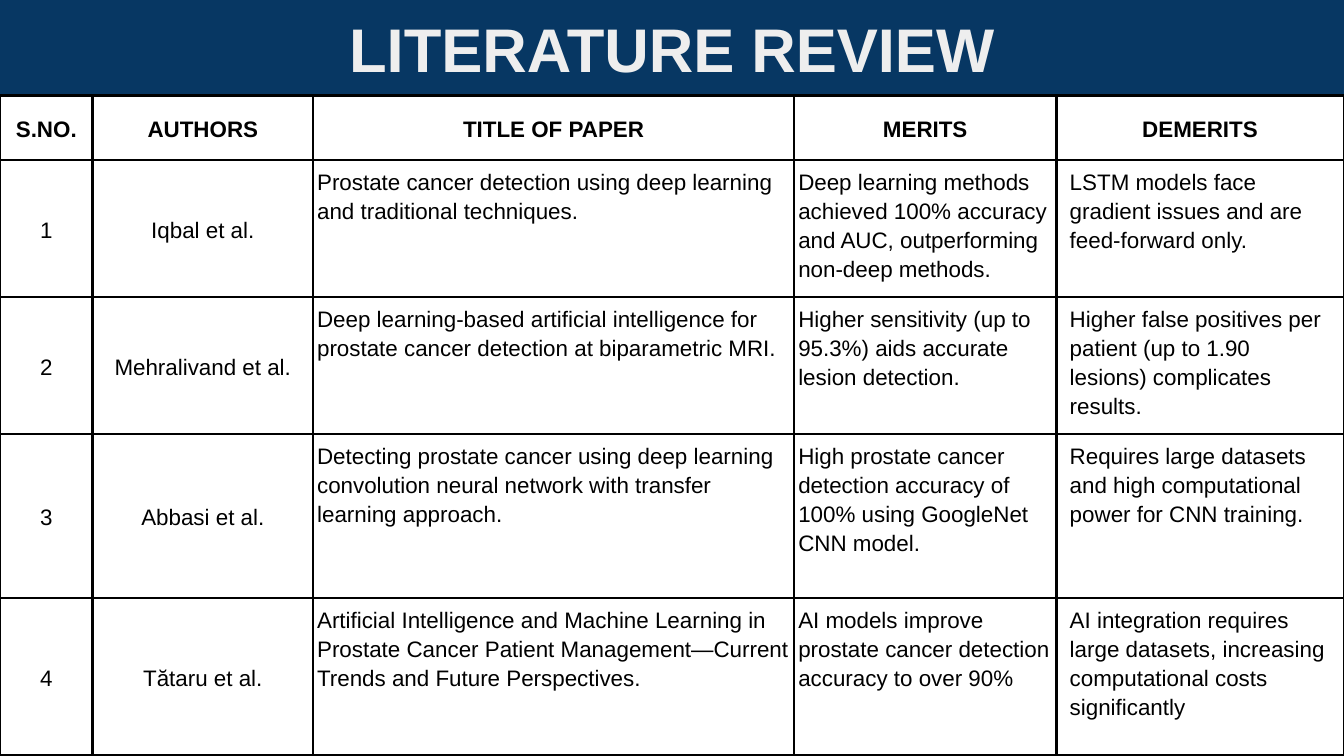
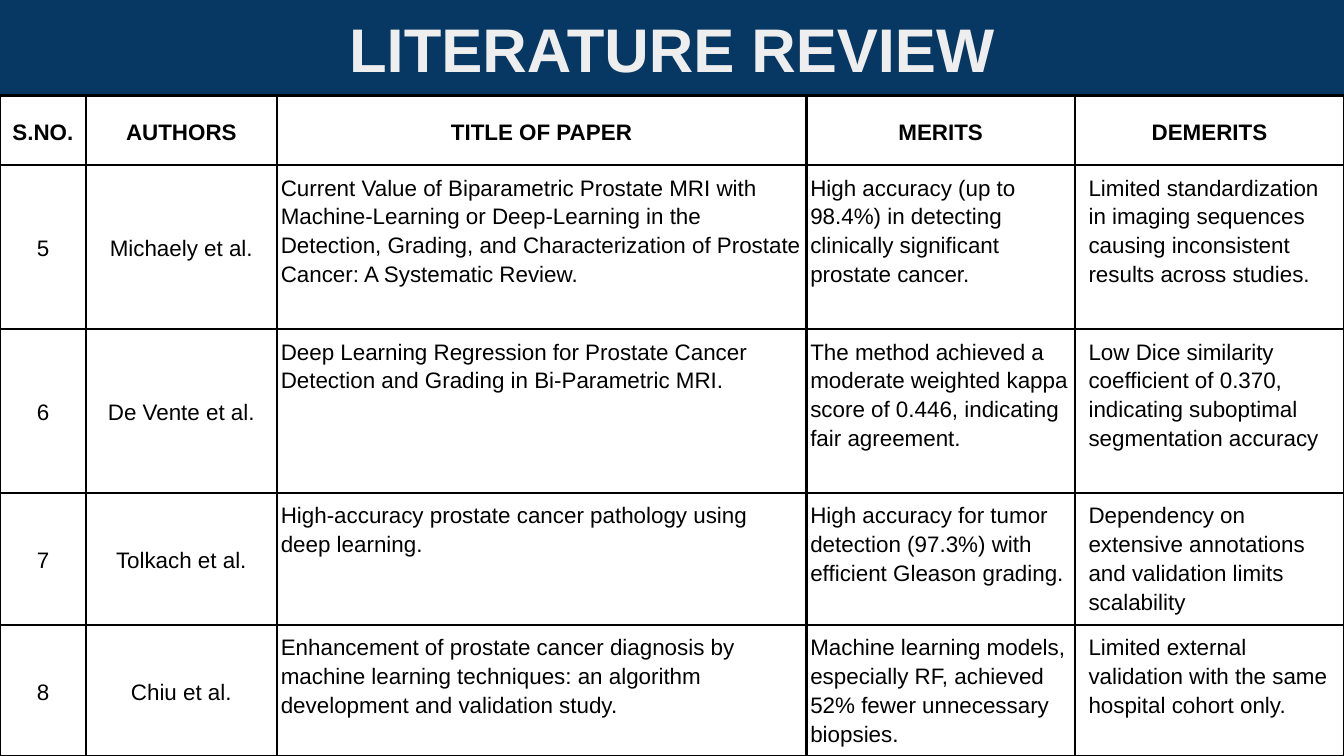
from lxml import etree
from pptx import Presentation
from pptx.dml.color import RGBColor
from pptx.enum.text import MSO_ANCHOR, MSO_AUTO_SIZE, PP_ALIGN
from pptx.oxml.ns import qn
from pptx.util import Inches, Pt

NAVY = RGBColor(0x07, 0x37, 0x63)
PALE_GREY = RGBColor(0xEE, 0xEE, 0xEE)
BLACK = RGBColor(0x00, 0x00, 0x00)

CENTER, LEFT = PP_ALIGN.CENTER, PP_ALIGN.LEFT
MIDDLE, TOP = MSO_ANCHOR.MIDDLE, MSO_ANCHOR.TOP
NO_FIT = MSO_AUTO_SIZE.NONE

FONT = "Arial"
SLIDE_WIDTH = 10
SLIDE_HEIGHT = SLIDE_WIDTH * 9 / 16  # widescreen
BAND_HEIGHT = 0.71
BORDER_WIDTH = Pt(1.47)
TITLE_ONLY_LAYOUT = 5

TITLE = "LITERATURE REVIEW"
HEADERS = ("S.NO.", "AUTHORS", "TITLE OF PAPER", "MERITS", "DEMERITS")
CENTERED_COLUMNS = 2  # number and authors
DEMERITS_COLUMN = 4

# Column widths, row heights and papers of each slide
REVIEWS = [
    {
        "columns": (0.69, 1.64, 3.58, 1.95, 2.14),
        "rows": (0.48, 1.02, 1.02, 1.22, 1.17),
        "papers": [
            ("1", "Iqbal et al.",
             "Prostate cancer detection using deep learning and traditional techniques.",
             "Deep learning methods achieved 100% accuracy and AUC, outperforming "
             "non-deep methods.",
             "LSTM models face gradient issues and are feed-forward only."),
            ("2", "Mehralivand et al.",
             "Deep learning-based artificial intelligence for prostate cancer "
             "detection at biparametric MRI.",
             "Higher sensitivity (up to 95.3%) aids accurate lesion detection.",
             "Higher false positives per patient (up to 1.90 lesions) complicates "
             "results."),
            ("3", "Abbasi et al.",
             "Detecting prostate cancer using deep learning convolution neural "
             "network with transfer learning approach.",
             "High prostate cancer detection accuracy of 100% using GoogleNet CNN "
             "model.",
             "Requires large datasets and high computational power for CNN training."),
            ("4", "Tătaru et al.",
             "Artificial Intelligence and Machine Learning in Prostate Cancer "
             "Patient Management—Current Trends and Future Perspectives.",
             "AI models improve prostate cancer detection accuracy to over 90%",
             "AI integration requires large datasets, increasing computational "
             "costs significantly"),
        ],
    },
    {
        "columns": (0.64, 1.42, 3.94, 2, 2),
        "rows": (0.52, 1.22, 1.22, 0.98, 0.98),
        "papers": [
            ("5", "Michaely et al.",
             "Current Value of Biparametric Prostate MRI with Machine-Learning or "
             "Deep-Learning in the Detection, Grading, and Characterization of "
             "Prostate Cancer: A Systematic Review.",
             "High accuracy (up to 98.4%) in detecting clinically significant "
             "prostate cancer.",
             "Limited standardization in imaging sequences causing inconsistent "
             "results across studies."),
            ("6", "De Vente et al.",
             "Deep Learning Regression for Prostate Cancer Detection and Grading "
             "in Bi-Parametric MRI.",
             "The method achieved a moderate weighted kappa score of 0.446, "
             "indicating fair agreement.",
             "Low Dice similarity coefficient of 0.370, indicating suboptimal "
             "segmentation accuracy"),
            ("7", "Tolkach et al.",
             "High-accuracy prostate cancer pathology using deep learning.",
             "High accuracy for tumor detection (97.3%) with efficient Gleason "
             "grading.",
             "Dependency on extensive annotations and validation limits "
             "scalability"),
            ("8", "Chiu et al.",
             "Enhancement of prostate cancer diagnosis by machine learning "
             "techniques: an algorithm development and validation study.",
             "Machine learning models, especially RF, achieved 52% fewer "
             "unnecessary biopsies.",
             "Limited external validation with the same hospital cohort only."),
        ],
    },
]


def add_run(paragraph, text, size, color, bold):
    run = paragraph.add_run()
    run.text = text
    run.font.name = FONT
    run.font.size = Pt(size)
    run.font.bold = bold
    run.font.color.rgb = color


def set_borders(cell):
    """Draw a solid black line on all four sides of a cell."""
    properties = cell._tc.get_or_add_tcPr()
    for side in ("a:lnL", "a:lnR", "a:lnT", "a:lnB"):
        line = etree.SubElement(properties, qn(side), w=str(BORDER_WIDTH))
        fill = etree.SubElement(line, qn("a:solidFill"))
        etree.SubElement(fill, qn("a:srgbClr"), val=str(BLACK))


def add_title_band(slide, left, top, width, height):
    band = slide.shapes.title
    band.left, band.top = Inches(left), Inches(top)
    band.width, band.height = Inches(width), Inches(height)
    band.fill.solid()
    band.fill.fore_color.rgb = NAVY
    frame = band.text_frame
    frame.auto_size = NO_FIT
    frame.word_wrap = True
    frame.vertical_anchor = MIDDLE
    frame.margin_left = frame.margin_right = Inches(0.1)
    frame.margin_top = frame.margin_bottom = Inches(0.1)
    paragraph = frame.paragraphs[0]
    paragraph.alignment = CENTER
    add_run(paragraph, TITLE, 33, PALE_GREY, True)


def fill_cell(cell, text, is_header, column):
    centered = is_header or column < CENTERED_COLUMNS
    wide_margin = column == DEMERITS_COLUMN and not is_header
    set_borders(cell)
    cell.fill.background()
    cell.margin_left = cell.margin_right = Inches(0.1 if wide_margin else 0.03)
    cell.margin_top = cell.margin_bottom = Inches(0.05)
    cell.vertical_anchor = MIDDLE if centered else TOP
    paragraph = cell.text_frame.paragraphs[0]
    paragraph.alignment = CENTER if centered else LEFT
    paragraph.line_spacing = 1.15
    add_run(paragraph, text, 12, BLACK, is_header)


def add_review_table(slide, review, left, top, width, height):
    rows = [HEADERS, *review["papers"]]
    table = slide.shapes.add_table(
        len(rows), len(HEADERS),
        Inches(left), Inches(top), Inches(width), Inches(height)).table
    table.first_row = False
    table.horz_banding = False
    for column, column_width in zip(table.columns, review["columns"]):
        column.width = Inches(column_width)
    for row, row_height in zip(table.rows, review["rows"]):
        row.height = Inches(row_height)
    for row_index, texts in enumerate(rows):
        for column_index, text in enumerate(texts):
            fill_cell(table.cell(row_index, column_index), text,
                      row_index == 0, column_index)


def add_review_slide(presentation, review):
    layout = presentation.slide_layouts[TITLE_ONLY_LAYOUT]
    slide = presentation.slides.add_slide(layout)
    add_title_band(slide, 0, 0, SLIDE_WIDTH, BAND_HEIGHT)
    add_review_table(slide, review, 0, BAND_HEIGHT,
                     SLIDE_WIDTH, SLIDE_HEIGHT - BAND_HEIGHT)


def main():
    presentation = Presentation()
    presentation.slide_width = Inches(SLIDE_WIDTH)
    presentation.slide_height = Inches(SLIDE_HEIGHT)
    for review in REVIEWS:
        add_review_slide(presentation, review)
    presentation.save("out.pptx")


if __name__ == "__main__":
    main()
